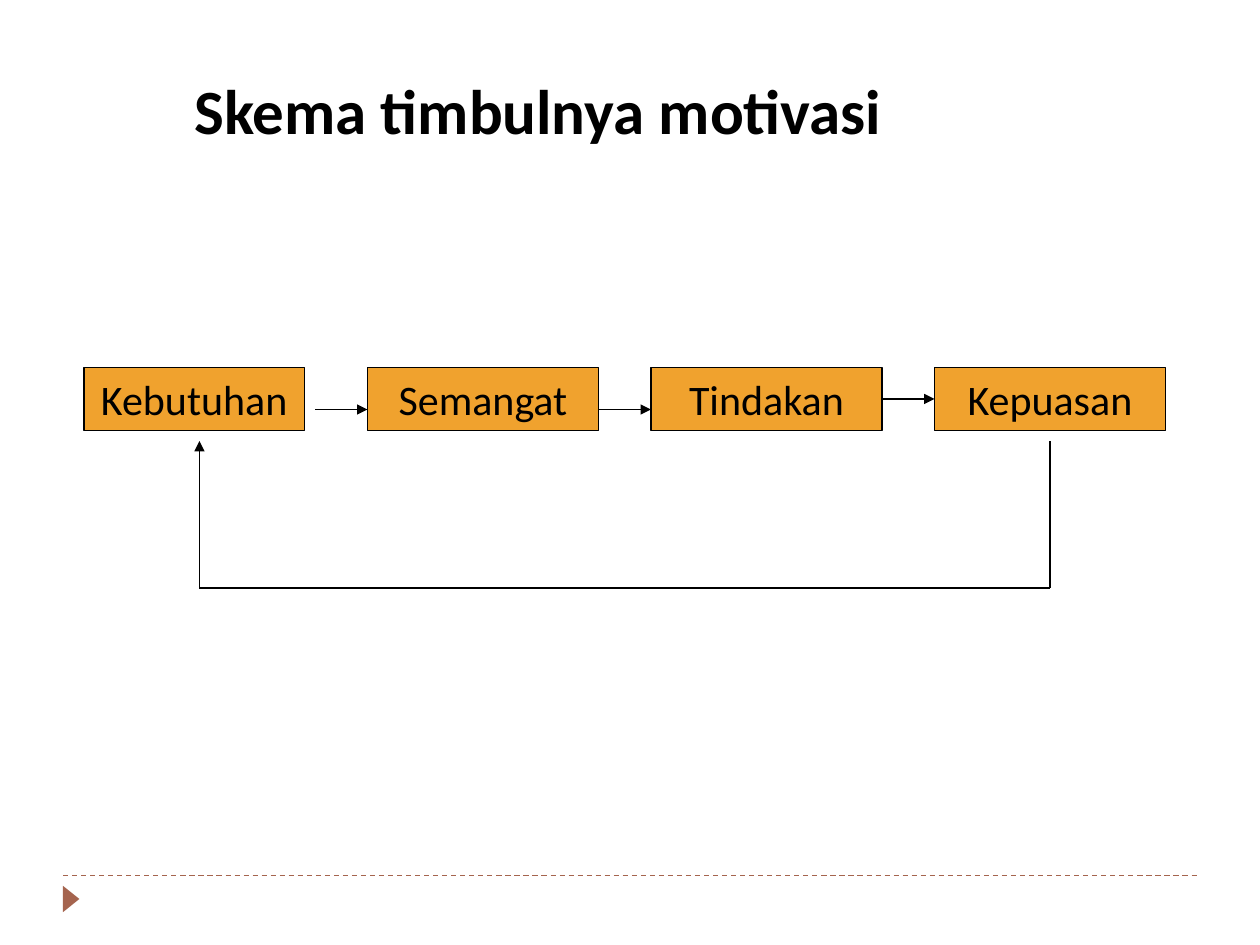
from pptx import Presentation
from pptx.dml.color import RGBColor
from pptx.enum.dml import MSO_LINE as Dash
from pptx.enum.shapes import MSO_CONNECTOR as Conn, MSO_SHAPE as Kind
from pptx.enum.text import MSO_ANCHOR as Anchor, MSO_AUTO_SIZE as Fit, PP_ALIGN as Align
from pptx.oxml.ns import qn
from pptx.util import Pt
from lxml.etree import SubElement

TITLE = "Skema timbulnya motivasi"
STEPS = [("Kebutuhan", 126), ("Semangat", 132), ("Tindakan", 132), ("Kepuasan", 132)]
LEFT, TOP, HIGH, STEP, GAP = 48, 210, 36, 162, 30
MID, LOW, DEEP = TOP + HIGH / 2, 234, 336
BLACK, GOLD, BROWN = "000000", "F0A22E", "A5644E"


def hue(code):
    """Turn a hex string into a colour."""
    return RGBColor.from_string(code)


def write(shape, text, size=24, bold=False, anchor=Anchor.MIDDLE, wrap=False):
    """Put centred text into a shape."""
    frame = shape.text_frame
    frame.text = text
    frame.word_wrap, frame.auto_size = wrap, Fit.NONE
    frame.vertical_anchor = anchor
    para = frame.paragraphs[0]
    para.alignment = Align.CENTER
    font = para.font
    font.name, font.size, font.bold = "Calibri", Pt(size), bold
    font.color.rgb = hue(BLACK)


def block(slide, kind, x, y, w, h, fill, edge=None):
    """Add a filled shape, outlined if an edge colour is given."""
    shape = slide.shapes.add_shape(kind, Pt(x), Pt(y), Pt(w), Pt(h))
    shape.shadow.inherit = False
    shape.fill.solid()
    shape.fill.fore_color.rgb = hue(fill)
    if edge:
        shape.line.color.rgb, shape.line.width = hue(edge), Pt(0.75)
    else:
        shape.line.fill.background()
    return shape


def link(slide, x1, y1, x2, y2, color=BLACK, head=False):
    """Add a straight line, with an arrowhead at its end if wanted."""
    line = slide.shapes.add_connector(Conn.STRAIGHT, Pt(x1), Pt(y1), Pt(x2), Pt(y2))
    line.line.color.rgb, line.line.width = hue(color), Pt(0.75)
    if head:
        SubElement(line.line._get_or_add_ln(), qn("a:tailEnd"), type="triangle")
    SubElement(line._element.spPr, qn("a:effectLst"))
    return line


def main():
    """Build the slide and save it."""
    deck = Presentation()
    deck.slide_width, deck.slide_height = Pt(720), Pt(540)
    slide = deck.slides.add_slide(deck.slide_layouts[5])

    link(slide, 36, 500.4, 684, 500.4, BROWN).line.dash_style = Dash.DASH
    mark = block(slide, Kind.ISOSCELES_TRIANGLE, 33.1, 509, 15.1, 9.4, BROWN)
    mark.rotation = 90

    title = slide.shapes.title
    title.left, title.top, title.width, title.height = Pt(19.5), Pt(37.5), Pt(576), Pt(438)
    write(title, TITLE, size=36, bold=True, anchor=Anchor.TOP, wrap=True)

    boxes = []
    for i, (name, wide) in enumerate(STEPS):
        box = block(slide, Kind.RECTANGLE, LEFT + i * STEP, TOP, wide, HIGH, GOLD, BLACK)
        write(box, name)
        boxes.append(box)

    for i, y in enumerate((LOW, LOW, MID), 1):
        x = LEFT + i * STEP
        arrow = link(slide, x - GAP, y, x, y, head=True)
        if y == MID:
            arrow.begin_connect(boxes[i - 1], 3)
            arrow.end_connect(boxes[i], 1)

    first, last, start = LEFT + 66, LEFT + 3 * STEP + 66, TOP + HIGH + 6
    link(slide, last, start, last, DEEP)
    link(slide, last, DEEP, first, DEEP)
    link(slide, first, DEEP, first, start, head=True)
    deck.save("out.pptx")


if __name__ == "__main__":
    main()
